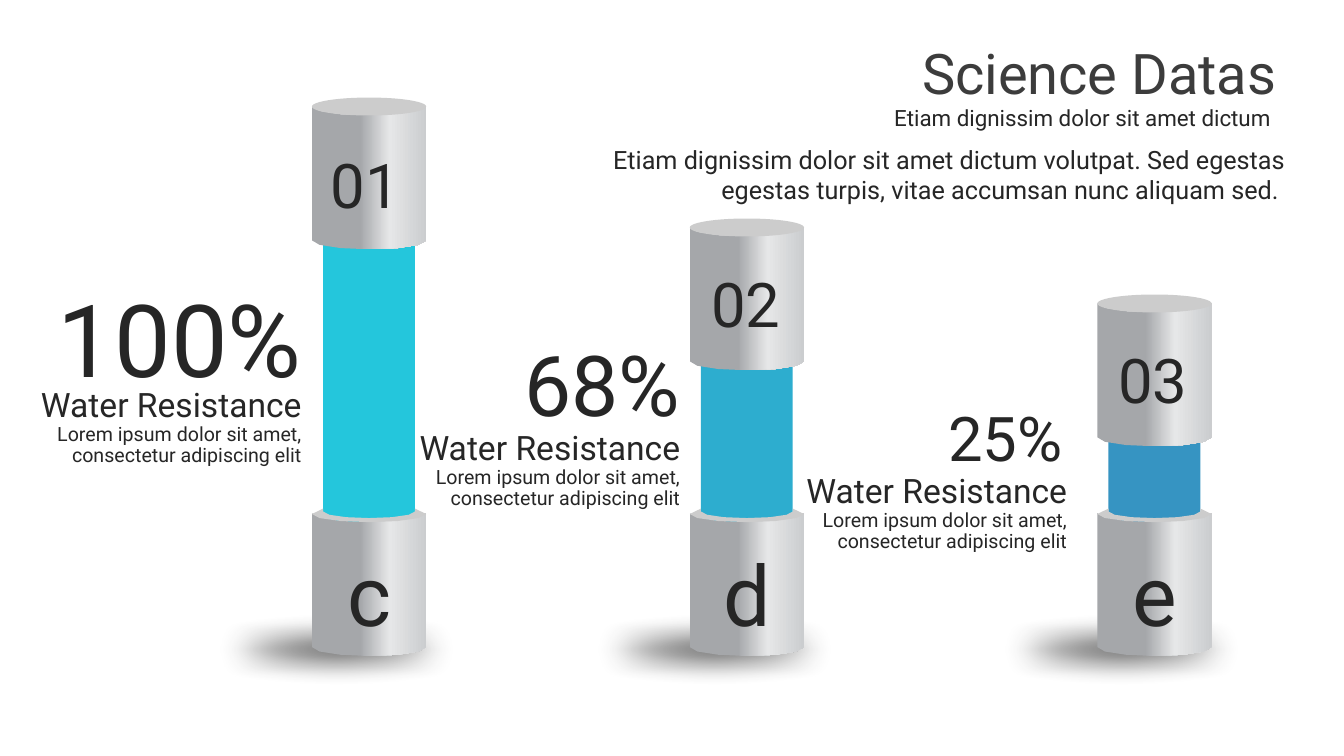
"""Builds the Science Datas slide with three water resistance cylinders."""
from dataclasses import dataclass
from math import cos, pi, sin

from lxml import etree
from pptx import Presentation
from pptx.dml.color import RGBColor
from pptx.enum import shapes, text
from pptx.oxml import ns
from pptx.util import Pt

COLORS = {
    "ink": "262626", "title": "3C3C3C", "lid": "CCCCCC",
    "steel": "A5A7AA", "shine": "E6E7E8", "edge": "CBCDCF",
    "cyan": "24C6DC", "sky": "2DADCF", "blue": "3694C2",
}
METAL = [(42, "steel"), (68, "shine"), (100, "edge")]
FONT = "Roboto"
LABEL = "Water Resistance"
DETAIL = "Lorem ipsum dolor sit amet, consectetur adipiscing elit"
RADIUS, TUBE_RADIUS, SIDE, DEPTH = 40.8, 32.8, 95.6, 6.4
BASE_TOP, TUBE_BOTTOM = 366.6, 380
RIGHT, CENTER = text.PP_ALIGN.RIGHT, text.PP_ALIGN.CENTER
Point = tuple[float, float]


@dataclass
class Run:
    text: str
    size: float
    color: str = "ink"


@dataclass
class Column:
    center: float
    cap_top: float
    tube_top: float
    color: str
    number: str
    number_at: Point
    letter: str
    percent: str
    percent_size: float
    percent_at: Point
    label_at: Point


COLUMNS = [
    Column(263.6, 76.1, 154, "cyan", "01", (228.5, 101.5), "c",
           "100%", 72, (13, 204.5), (13, 274.3)),
    Column(533.5, 162.5, 242.6, "sky", "02", (500.4, 186.5), "d",
           "68%", 60, (283.3, 242.6), (283.4, 304.9)),
    Column(824.6, 216.8, 242.6, "blue", "03", (791.2, 240.9), "e",
           "25%", 44, (556.6, 288.7), (559.8, 335.5)),
]


def paint(sp, color: str) -> None:
    sp.shadow.inherit = False
    sp.line.fill.background()
    sp.fill.solid()
    sp.fill.fore_color.rgb = RGBColor.from_string(COLORS[color])


def add_preset(s, kind, x: float, y: float, w: float, h: float, color: str):
    sp = s.shapes.add_shape(kind, Pt(x), Pt(y), Pt(w), Pt(h))
    paint(sp, color)
    return sp


def add_text(s, x: float, y: float, w: float, h: float, runs: list[Run],
             align, spacing: float = 1.0, wrap: bool = True) -> None:
    tf = s.shapes.add_textbox(Pt(x), Pt(y), Pt(w), Pt(h)).text_frame
    tf.word_wrap = wrap
    for i, run in enumerate(runs):
        p = tf.add_paragraph() if i else tf.paragraphs[0]
        p.alignment = align
        p.line_spacing = spacing
        r = p.add_run()
        r.text = run.text
        r.font.name = FONT
        r.font.size = Pt(run.size)
        r.font.color.rgb = RGBColor.from_string(COLORS[run.color])


def arc(cx: float, cy: float, rx: float, ry: float, steps: int = 6) -> list[Point]:
    angles = [pi * i / steps for i in range(steps + 1)]
    return [(cx - rx * cos(a), cy + ry * sin(a)) for a in angles]


def add_outline(s, points: list[Point], color: str):
    builder = s.shapes.build_freeform(*[round(v * 100) for v in points[0]], scale=Pt(1) / 100)
    builder.add_line_segments([(round(x * 100), round(y * 100)) for x, y in points[1:]])
    sp = builder.convert_to_shape()
    paint(sp, color)
    return sp


def add_barrel(s, cx: float, top: float) -> None:
    lower = arc(cx, top + SIDE, RADIUS, DEPTH)
    sp = add_outline(s, arc(cx, top, RADIUS, DEPTH) + lower[::-1], "steel")
    sp.fill.gradient()
    sp.fill.gradient_angle = 0
    stops = sp.element.spPr.find(".//" + ns.qn("a:gsLst"))
    for stop in list(stops):
        stops.remove(stop)
    for position, color in METAL:
        stop = etree.SubElement(stops, ns.qn("a:gs"), pos=str(position * 1000))
        etree.SubElement(stop, ns.qn("a:srgbClr"), val=COLORS[color])


def add_base(s, col: Column) -> None:
    cx = col.center
    sp = add_preset(s, shapes.MSO_SHAPE.OVAL, cx - 159.8, 437, 273, 53.3, "ink")
    effects = sp.element.spPr.find(ns.qn("a:effectLst"))
    etree.SubElement(effects, ns.qn("a:softEdge"), rad=str(Pt(20)))
    add_barrel(s, cx, BASE_TOP)
    inner = arc(cx, 365.4, TUBE_RADIUS, 4.7)
    rim = [(cx + TUBE_RADIUS, 363.3), *inner[::-1], (cx - TUBE_RADIUS, 363.3)]
    add_outline(s, arc(cx, 367.2, RADIUS, 5.8) + rim, "lid")
    add_text(s, cx - 37.4, 383.8, 74.8, 80, [Run(col.letter, 60)], CENTER, wrap=False)


def add_cap(s, col: Column) -> None:
    cx, top = col.center, col.cap_top
    add_barrel(s, cx, top)
    add_preset(s, shapes.MSO_SHAPE.OVAL, cx - RADIUS, top - DEPTH,
               2 * RADIUS, 2 * DEPTH, "lid")
    add_text(s, *col.number_at, 64.8, 60.5, [Run(col.number, 44)], CENTER, wrap=False)


def main() -> None:
    prs = Presentation()
    prs.slide_width, prs.slide_height = Pt(960), Pt(540)
    s = prs.slides.add_slide(prs.slide_layouts[6])
    for col in COLUMNS:
        add_preset(s, shapes.MSO_SHAPE.RECTANGLE, col.center - TUBE_RADIUS, col.tube_top,
                   2 * TUBE_RADIUS, TUBE_BOTTOM - col.tube_top, col.color)
    add_text(s, 595.4, 29.5, 323.3, 64, [
        Run("Science Datas", 40, "title"),
        Run("Etiam dignissim dolor sit amet dictum ", 16)], RIGHT, 0.9)
    add_text(s, 411.1, 99.4, 514.1, 51, [
        Run("Etiam dignissim dolor sit amet dictum volutpat. Sed egestas "
            "egestas turpis, vitae accumsan nunc aliquam sed. ", 18)], RIGHT)
    for col in COLUMNS:
        add_base(s, col)
        add_cap(s, col)
        add_text(s, *col.label_at, 209.5, 64, [Run(LABEL, 24), Run(DETAIL, 14)], RIGHT, 0.89)
        add_text(s, *col.percent_at, 209.5, col.percent_size * 1.18,
                 [Run(col.percent, col.percent_size)], RIGHT, 0.89)
    prs.save("out.pptx")


if __name__ == "__main__":
    main()
